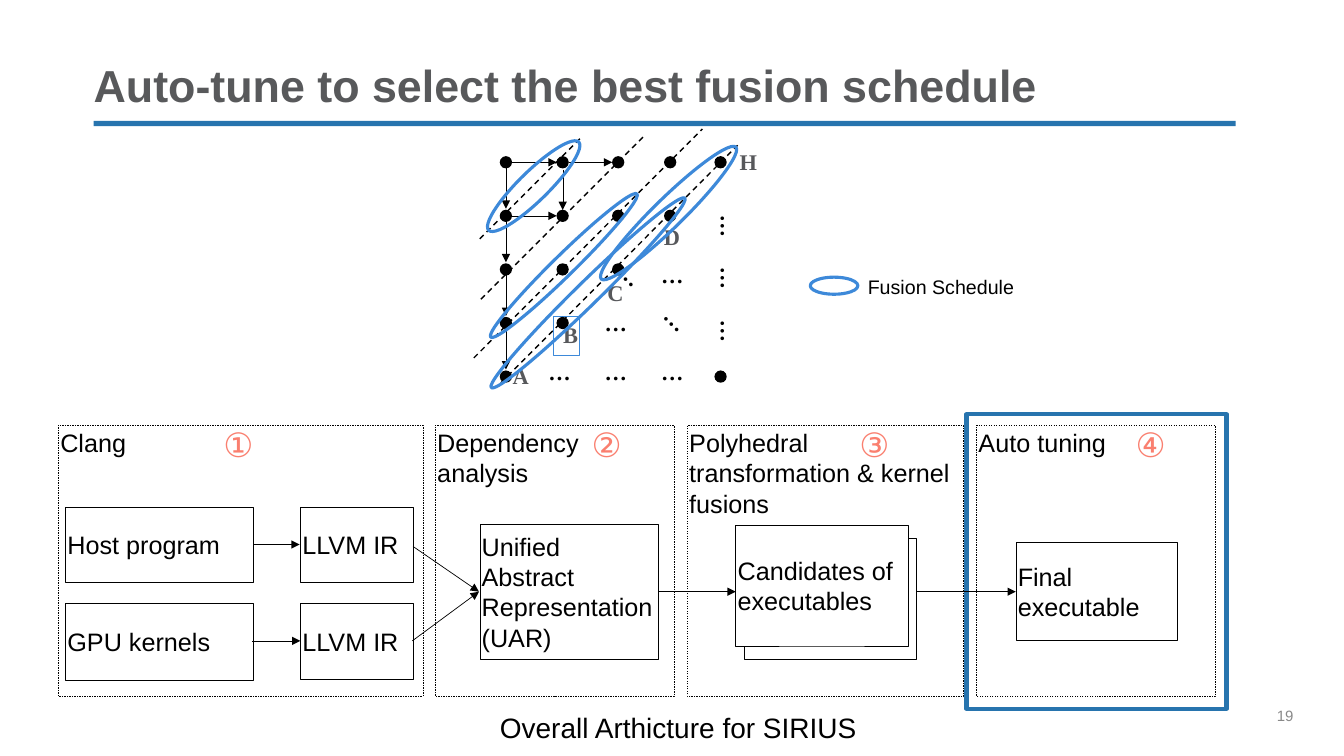
from lxml import etree
from pptx import Presentation
from pptx.dml.color import RGBColor
from pptx.enum.dml import MSO_LINE
from pptx.enum.shapes import MSO_CONNECTOR, MSO_SHAPE as Shape
from pptx.enum.text import MSO_ANCHOR as Anchor, PP_ALIGN as Align
from pptx.oxml.ns import qn
from pptx.util import Cm, Pt

BLACK = RGBColor(0x00, 0x00, 0x00)
WHITE = RGBColor(0xFF, 0xFF, 0xFF)
NAVY = RGBColor(0x27, 0x74, 0xAE)
BLUE = RGBColor(0x3D, 0x89, 0xD9)
CORAL = RGBColor(0xFA, 0x7F, 0x6F)
TITLE_GRAY = RGBColor(0x58, 0x59, 0x5B)
LABEL_GRAY = RGBColor(0x57, 0x58, 0x5B)
NUMBER_GRAY = RGBColor(0x89, 0x89, 0x89)
SERIF = "Times New Roman"

deck = Presentation()
deck.slide_width, deck.slide_height = Cm(33.87), Cm(19.05)
page = deck.slides.add_slide(deck.slide_layouts[5])


def add_box(place, text="", size=18, color=BLACK, font="Arial", bold=False,
            kind=Shape.RECTANGLE, fill=None, line=None, weight=0.25,
            anchor=Anchor.TOP, align=Align.LEFT, inset=0.05, wrap=True):
    """Add a shape at place (left, top, width, height in cm) with its text."""
    box = page.shapes.add_shape(kind, *[Cm(length) for length in place])
    box.shadow.inherit = False
    if fill is None:
        box.fill.background()
    else:
        box.fill.solid()
        box.fill.fore_color.rgb = fill
    if line is None:
        box.line.fill.background()
    else:
        box.line.color.rgb = line
        box.line.width = Pt(weight)
    if text:
        frame = box.text_frame
        frame.margin_left = frame.margin_right = Cm(inset)
        frame.margin_top = frame.margin_bottom = Cm(inset / 2 if inset > 0.1 else inset)
        frame.word_wrap, frame.vertical_anchor = wrap, anchor
        frame.text = text
        for para in frame.paragraphs:
            para.alignment = align
            para.font.size, para.font.name, para.font.bold = Pt(size), font, bold
            para.font.color.rgb = color
    return box


def add_line(x1, y1, x2, y2, weight=0.5, arrow=True):
    line = page.shapes.add_connector(MSO_CONNECTOR.STRAIGHT, Cm(x1), Cm(y1), Cm(x2), Cm(y2))
    line.line.color.rgb, line.line.width = BLACK, Pt(weight)
    if arrow:
        etree.SubElement(line.line._get_or_add_ln(), qn("a:tailEnd"), type="triangle")
    else:
        line.line.dash_style = MSO_LINE.DASH
    etree.SubElement(line._element.spPr, qn("a:effectLst"))


# Title, rule, page number and caption
title = page.shapes.title
title.left, title.top, title.width, title.height = Cm(2.36), Cm(1.68), Cm(28.78), Cm(1.14)
frame = title.text_frame
frame.margin_left = frame.margin_right = frame.margin_top = frame.margin_bottom = 0
frame.vertical_anchor = Anchor.BOTTOM
frame.text = "Auto-tune to select the best fusion schedule"
para = frame.paragraphs[0]
para.alignment, para.line_spacing = Align.LEFT, 0.9
para.font.size, para.font.name, para.font.bold = Pt(32), "Arial", True
para.font.color.rgb = TITLE_GRAY
add_box((2.36, 3.05, 28.78, 0.13), fill=NAVY)
add_box((32.18, 17.81, 1.7, 1.17), "19", 10.7, NUMBER_GRAY, inset=0)
add_box((10.62, 17.91, 12.95, 0.86), "Overall Arthicture for SIRIUS", 20,
        align=Align.CENTER, inset=0)

# Pipeline stages
add_box((24.36, 10.44, 6.55, 7.42), line=NAVY, weight=3)
for left, width, name, number, number_left in (
        (1.47, 9.19, "Clang", "①", 5.38),
        (10.97, 6.02, "Dependency analysis", "②", 14.66),
        (17.32, 6.96, "Polyhedral transformation & kernel fusions", "③", 21.41),
        (24.61, 6.02, "Auto tuning", "④", 28.37)):
    stage = add_box((left, 10.72, width, 6.83), name, line=BLACK)
    stage.line.dash_style = MSO_LINE.DASH
    add_box((number_left, 10.55, 1.4, 1.27), number, 24, CORAL, inset=0.25)

add_box((18.75, 13.56, 4.34, 3.05), fill=WHITE, line=BLACK)
for place, name in (
        ((1.65, 12.78, 4.72, 1.9), "Host program"),
        ((1.65, 15.19, 4.72, 1.96), "GPU kernels"),
        ((7.57, 12.78, 2.84, 1.9), "LLVM IR"),
        ((7.57, 15.21, 2.84, 1.9), "LLVM IR"),
        ((12.09, 13.21, 4.5, 3.4), "Unified Abstract Representation\n(UAR)"),
        ((18.54, 13.23, 4.34, 3.05), "Candidates of executables"),
        ((25.6, 13.67, 4.06, 2.46), "Final executable")):
    add_box(place, name, fill=WHITE, line=BLACK, anchor=Anchor.MIDDLE)

for ends in ((6.38, 13.72, 7.55, 13.72), (6.35, 16.15, 7.57, 16.15),
             (10.41, 13.77, 12.07, 14.91), (10.39, 16.15, 12.07, 14.91),
             (16.6, 14.91, 18.54, 14.91), (23.09, 14.91, 25.6, 14.91)):
    add_line(*ends)

# Iteration space: wavefronts, dots and dependences
for ends in ((12.09, 6.02, 14.63, 3.48), (12.12, 7.54, 16.21, 3.45),
             (11.94, 9.02, 17.7, 3.25), (12.62, 9.65, 18.59, 3.66)):
    add_line(*ends, weight=1, arrow=False)

for letter, left, top in (("A", 12.67, 8.99), ("B", 13.94, 7.98), ("C", 15.06, 6.91),
                          ("D", 16.48, 5.49), ("H", 18.39, 3.61)):
    add_box((left, top, 0.66, 0.99), letter, 16, LABEL_GRAY, SERIF, True, inset=0.25,
            line=BLUE if letter == "B" else None, weight=0.75)

COLUMNS = (12.75, 14.18, 15.58, 16.89, 18.16)
ROWS = [4.09 + 1.35 * row for row in range(5)]
DOT = 0.31
dots = [(x, y) for row, y in enumerate(ROWS) for x in COLUMNS[:5 - row]]
for x, y in dots + [(COLUMNS[-1], ROWS[-1])]:
    add_box((x - DOT / 2, y - DOT / 2, DOT, DOT), kind=Shape.OVAL, fill=BLACK)

for x, y, angle in ((14.11, 9.37, 0), (15.53, 9.37, 0), (16.95, 9.37, 0),
                    (15.53, 8.13, 0), (16.95, 6.91, 0),
                    (16.78, 8.31, 225), (15.63, 7.16, 225),
                    (18.02, 5.69, 270), (18.02, 7.01, 270), (18.02, 8.33, 270)):
    ellipsis = add_box((x - 0.34, y - 0.41, 0.68, 0.82), "…", 16, BLACK, SERIF, True,
                       anchor=Anchor.MIDDLE, wrap=False)
    ellipsis.rotation = angle

for upper, lower in zip(ROWS, ROWS[1:]):
    add_line(COLUMNS[0], upper + 0.15, COLUMNS[0], lower - 0.18, 0.25)
add_line(COLUMNS[1], ROWS[0] + 0.2, COLUMNS[1], ROWS[1] - 0.15, 0.25)
for column, row in ((0, 0), (1, 0), (0, 1)):
    add_line(COLUMNS[column] + 0.16, ROWS[row], COLUMNS[column + 1] - 0.15, ROWS[row], 0.25)

# Fusion schedules and their legend
for x, y, length, breadth, angle in (
        (16.85, 5.37, 4.75, 0.74, 315.6), (14.21, 6.69, 5.16, 0.53, 315.6),
        (13.45, 4.69, 3.18, 0.74, 315.6), (14.82, 7.38, 6.83, 0.58, 315.6),
        (21.02, 7.2, 1.2, 0.43, 0)):
    schedule = add_box((x - length / 2, y - breadth / 2, length, breadth),
                       kind=Shape.OVAL, line=BLUE, weight=2.25)
    schedule.rotation = angle
add_box((21.62, 6.81, 4.7, 0.86), "Fusion Schedule", 14, inset=0.25)

deck.save("out.pptx")
